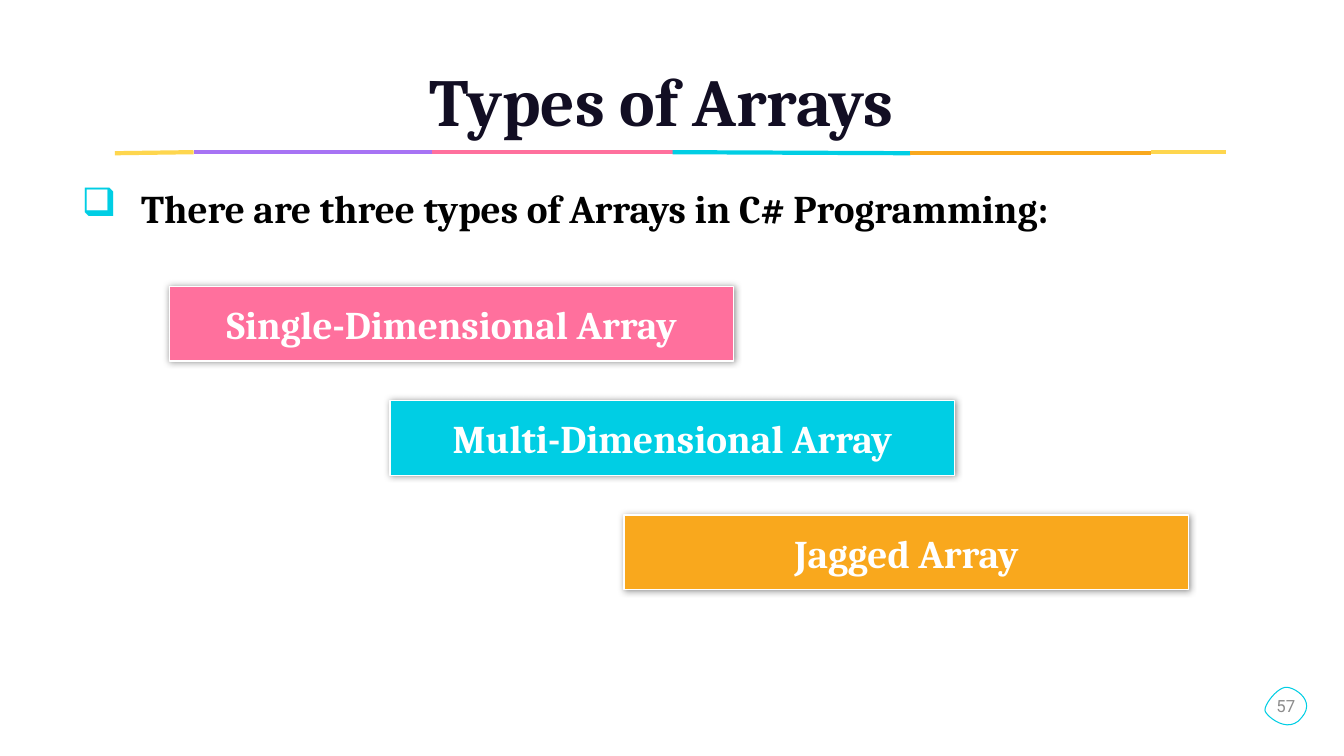
from lxml import etree
from pptx import Presentation, util as u
from pptx.dml.color import RGBColor
from pptx.enum import shapes, text
from pptx.oxml import ns

PINK, CYAN, GOLD, LEMON = "FF709D", "00CEE4", "F9A81D", "FED64E"
VIOLET, WHITE, BLACK, INK, GREY = "A773F4", "FFFFFF", "000000", "120E23", "8C8C8C"
MID, CENTRE = text.MSO_ANCHOR.MIDDLE, text.PP_ALIGN.CENTER


def rgb(code):
    return RGBColor.from_string(code)


def add(node, tag, **attrs):
    child = etree.SubElement(node, ns.qn(tag))
    for key, val in attrs.items():
        child.set(key, str(val))
    return child


def curve(start, parts, steps=12):
    """Points along a chain of cubic Bezier parts, each (control, control, end)."""
    pts = [start]
    for one, two, end in parts:
        for k in range(1, steps + 1):
            t = k / steps
            mix = ((1 - t) ** 3, 3 * t * (1 - t) ** 2, 3 * t * t * (1 - t), t ** 3)
            pts.append(tuple(sum(m * p[i] for m, p in zip(mix, (start, one, two, end)))
                             for i in (0, 1)))
        start = end
    return pts


class Deck:
    """Holds the style and the current slide; lengths are percent of slide size."""
    font = "Cambria"
    size = 28

    def __init__(self, wide, high):
        self.prs = Presentation()
        self.prs.slide_width, self.prs.slide_height = u.Inches(wide), u.Inches(high)
        self.slide = self.prs.slides.add_slide(self.prs.slide_layouts[5])
        self.items = self.slide.shapes

    def at(self, *spots):
        """Percent values, x and y in turn, as lengths."""
        sides = self.prs.slide_width, self.prs.slide_height
        return [u.Emu(round(v * sides[i % 2] / 100)) for i, v in enumerate(spots)]

    def label(self, shape, words, size=None, font=None, color=BLACK, bold=True,
              align=CENTRE, anchor=MID, space=1, inset=0, bullet=None):
        frame = shape.text_frame
        frame.word_wrap = True
        frame.auto_size = text.MSO_AUTO_SIZE.NONE
        frame.vertical_anchor = anchor
        frame.margin_left = frame.margin_right = u.Inches(inset)
        frame.margin_top = frame.margin_bottom = 0
        para = frame.paragraphs[0]
        para.alignment, para.line_spacing = align, space
        if bullet:
            props = para._p.get_or_add_pPr()
            dent = u.Inches(0.59)
            props.set("marL", str(dent))
            props.set("indent", str(-dent))
            add(add(props, "a:buClr"), "a:srgbClr", val=CYAN)
            add(props, "a:buChar", char=bullet)
        run = para.add_run()
        run.text = words
        face = run.font
        face.name, face.size, face.bold = font or self.font, u.Pt(size or self.size), bold
        face.color.rgb = rgb(color)

    def title(self, words, box, **style):
        head = self.items.title
        head.left, head.top, head.width, head.height = self.at(*box)
        self.label(head, words, **style)

    def note(self, words, box, **style):
        self.label(self.items.add_textbox(*self.at(*box)), words, **style)

    def line(self, ends, color, width):
        rule = self.items.add_connector(shapes.MSO_CONNECTOR.STRAIGHT, *self.at(*ends))
        rule.line.color.rgb, rule.line.width = rgb(color), u.Pt(width)
        add(rule._element.spPr, "a:effectLst")

    def card(self, words, box, fill):
        card = self.items.add_shape(shapes.MSO_SHAPE.RECTANGLE, *self.at(*box))
        card.fill.solid()
        card.fill.fore_color.rgb = rgb(fill)
        card.line.color.rgb, card.line.width = rgb(WHITE), u.Pt(1)
        card.shadow.inherit = False
        glow = add(card._element.spPr.find(ns.qn("a:effectLst")), "a:outerShdw",
                   blurRad=u.Pt(5), dist=0, dir=0, algn="ctr", rotWithShape=0)
        add(add(glow, "a:srgbClr", val=BLACK), "a:alpha", val=40000)
        self.label(card, words, color=WHITE)

    def badge(self, words, pts, edge, **style):
        pts = [self.at(*p) for p in pts]
        pen = self.items.build_freeform(*pts[0])
        pen.add_line_segments(pts[1:], close=True)
        blob = pen.convert_to_shape()
        blob.fill.background()
        blob.line.color.rgb, blob.line.width = rgb(edge), u.Pt(0.75)
        blob.shadow.inherit = False
        self.label(blob, words, **style)


def main():
    deck = Deck(13.33, 7.5)

    high, low = 20.13, 20.27
    left = 8.55
    for color, right, start, end in (
            (LEMON, 14.4, low, high), (VIOLET, 32.18, high, high),
            (PINK, 50.04, high, high), (CYAN, 67.74, high, low),
            (GOLD, 85.67, low, low), (LEMON, 91.22, high, high)):
        deck.line((left, start, right, end), color, 3)
        left = right

    deck.title("Types of Arrays ", (5.33, 6.67, 88.82, 11.87), size=48, color=INK,
               anchor=text.MSO_ANCHOR.BOTTOM, space=1.7)
    blob = curve((95.8, 90.93), (
        ((96.47, 91.07), (97.9, 92.8), (96.85, 94.93)),
        ((95.87, 97.2), (94.3, 94.8), (94.15, 94.13)),
        ((93.92, 93.47), (95.12, 90.67), (95.8, 90.93))))
    deck.badge("57", blob, CYAN, size=12, font="Roboto", color=GREY, bold=False)
    deck.note("There are three types of Arrays in C# Programming:",
              (5.33, 21.2, 90.77, 62.67), align=text.PP_ALIGN.LEFT,
              anchor=text.MSO_ANCHOR.TOP, space=1.5, inset=0.1, bullet="❑")

    kinds = (("Single-Dimensional Array", 12.6, PINK),
             ("Multi-Dimensional Array", 29.03, CYAN),
             ("Jagged Array", 46.44, GOLD))
    for row, (name, x, fill) in enumerate(kinds):
        deck.card(name, (x, 37.87 + 15.13 * row, 42, 9.87), fill)

    deck.prs.save("out.pptx")


if __name__ == "__main__":
    main()
